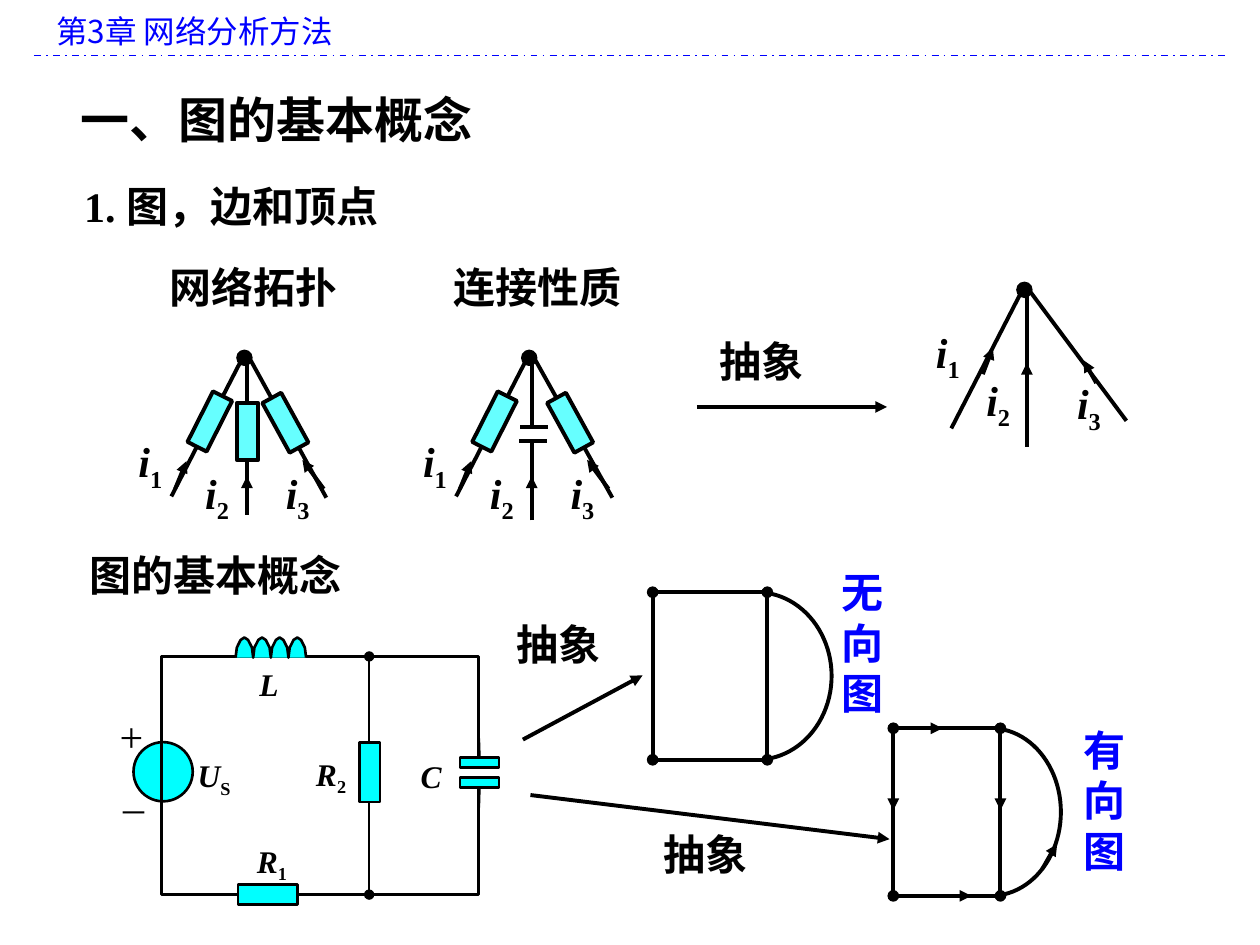
import pptx
import pptx.util
import pptx.dml.color
import pptx.enum.dml
import pptx.enum.lang
import pptx.enum.shapes
import pptx.enum.text
import pptx.oxml.ns
import lxml.etree

Inches, Pt = pptx.util.Inches, pptx.util.Pt
RGBColor = pptx.dml.color.RGBColor
SHAPE = pptx.enum.shapes.MSO_SHAPE
ANCHOR = pptx.enum.text.MSO_ANCHOR
qn = pptx.oxml.ns.qn

BLACK = RGBColor(0x00, 0x00, 0x00)
WHITE = RGBColor(0xFF, 0xFF, 0xFF)
BLUE = RGBColor(0x00, 0x00, 0xFF)
CYAN = RGBColor(0x00, 0xFF, 0xFF)
PALE_CYAN = RGBColor(0x66, 0xFF, 0xFF)
SERIF, SANS = "Times New Roman", "Noto Sans CJK SC"


def add_line(parent, start, end, width=2.25, head=None, tail=None, color=BLACK):
    line = parent.shapes.add_connector(
        pptx.enum.shapes.MSO_CONNECTOR.STRAIGHT,
        *[Inches(v) for v in (*start, *end)])
    line.line.color.rgb = color
    line.line.width = Pt(width)
    for tag, kind in (("a:headEnd", head), ("a:tailEnd", tail)):
        if kind:
            lxml.etree.SubElement(line.line._get_or_add_ln(), qn(tag), type=kind)
    lxml.etree.SubElement(line._element.spPr, qn("a:effectLst"))
    return line


def add_part(parent, kind, box, fill, width=2.25, rotation=0):
    part = parent.shapes.add_shape(kind, *[Inches(v) for v in box])
    part.shadow.inherit = False
    part.rotation = rotation
    if fill is None:
        part.fill.background()
    else:
        part.fill.solid()
        part.fill.fore_color.rgb = fill
    if width:
        part.line.color.rgb = BLACK
        part.line.width = Pt(width)
    else:
        part.line.fill.background()
    return part


prs = pptx.Presentation()
prs.slide_width, prs.slide_height = Inches(10), Inches(7.5)
slide = prs.slides.add_slide(prs.slide_layouts[5])

# Chapter rule
chapter_rule = add_line(slide, (0.27, 0.44), (9.72, 0.44), 1, color=BLUE)
chapter_rule.line.dash_style = pptx.enum.dml.MSO_LINE.DASH_DOT

# Three-branch nodes: every point is relative to the node
near_arrows = [((-0.55, 1.04), (-0.46, 0.82)), ((0.02, 1.18), (0.02, 0.94)),
               ((0.63, 1.04), (0.46, 0.81))]
far_arrows = [((-0.33, 0.67), (-0.25, 0.46)), ((0.02, 0.82), (0.02, 0.58)),
              ((0.57, 0.74), (0.47, 0.56))]
near_labels = [(-0.94, 0.57), (-0.41, 0.82), (0.23, 0.82)]
far_labels = [(-0.8, 0.24), (-0.4, 0.62), (0.32, 0.65)]
side_resistors = [(-0.36, 0.28, 26.8), (0.24, 0.29, 331.2)]
whole_branch = [((0.02, 0.02), (0.02, 1.25))]
capacitor_branch = [((0.02, 0.02), (0.02, 0.53)), ((-0.07, 0.55), (0.15, 0.55)),
                    ((-0.08, 0.66), (0.14, 0.66)), ((0.02, 1.29), (0.02, 0.66))]
nodes = [
    (1.94, 2.84, whole_branch, (0.65, 1.11),
     side_resistors + [(-0.06, 0.36, 0)], near_arrows, near_labels),
    (4.2, 2.84, capacitor_branch, (0.66, 1.11),
     side_resistors, near_arrows, near_labels),
    (8.13, 2.3, whole_branch, (0.81, 1.04), [], far_arrows, far_labels),
]
symbols = []
for x, y, middle, right_end, resistors, arrows, labels in nodes:
    node = slide.shapes.add_group_shape()
    sides = [((-0.02, 0.01), (-0.58, 1.1)), ((0.05, 0.02), right_end)]
    for (x1, y1), (x2, y2) in middle + sides:
        add_line(node, (x + x1, y + y1), (x + x2, y + y2))
    for dx, dy, angle in resistors:
        add_part(node, SHAPE.RECTANGLE, (x + dx, y + dy, 0.17, 0.45),
                 PALE_CYAN, rotation=angle)
    add_part(node, SHAPE.OVAL, (x - 0.06, y - 0.06, 0.12, 0.12), BLACK, 0.75)
    for (x1, y1), (x2, y2) in arrows:
        add_line(node, (x + x1, y + y1), (x + x2, y + y2), tail="triangle")
    for number, (dx, dy) in enumerate(labels, 1):
        symbols.append((node, (x + dx, y + dy, 0.4, 0.5), "i", str(number), 24))

# Abstraction arrows
for start, end in [((5.53, 3.23), (7.04, 3.23)), ((4.15, 5.87), (5.1, 5.36)),
                   ((4.21, 6.31), (7.06, 6.66))]:
    add_line(slide, start, end, tail="triangle")

# Undirected and directed graphs
graphs = []
for left, top, width, arc_left, arc_width in [(5.18, 4.7, 0.91, 5.41, 1.19),
                                              (7.09, 5.78, 0.85, 7.31, 1.11)]:
    graph = slide.shapes.add_group_shape()
    add_part(graph, SHAPE.OVAL, (arc_left, top, arc_width, 1.33), WHITE)
    add_part(graph, SHAPE.RECTANGLE, (left, top, width, 1.33), WHITE)
    for y in (top, top + 1.33):
        add_line(graph, (left, y), (left + width, y), head="oval", tail="oval")
    graphs.append(graph)
directed = graphs[1]
for start, end in [((7.09, 6.04), (7.09, 6.43)), ((7.94, 6.04), (7.94, 6.43)),
                   ((7.48, 7.11), (7.71, 7.11)), ((7.31, 5.78), (7.48, 5.78))]:
    add_line(directed, start, end, tail="triangle")

# Circuit
circuit = slide.shapes.add_group_shape()
add_part(circuit, SHAPE.OVAL, (1.06, 5.89, 0.47, 0.47), CYAN, 1.5)
add_part(circuit, SHAPE.RECTANGLE, (1.28, 5.21, 2.52, 1.89), None, 1.5)
add_line(circuit, (2.93, 5.21), (2.93, 7.1), 1.5, "oval", "oval")
for x, y, angle in [(1.89, 7.02, 0), (2.7, 6.05, 90)]:
    add_part(circuit, SHAPE.RECTANGLE, (x, y, 0.47, 0.16), CYAN, 1.5, angle)
add_part(circuit, SHAPE.RECTANGLE, (3.64, 6.04, 0.32, 0.16), WHITE, 0)
for plate_y, wire_y, site in [(6.01, 5.86, 0), (6.17, 6.41, 2)]:
    plate = add_part(circuit, SHAPE.RECTANGLE, (3.65, plate_y, 0.31, 0.08), CYAN, 1.5)
    wire = add_line(circuit, (3.8, wire_y), (3.8, plate_y), 1.5)
    wire.end_connect(plate, site)

# Inductor coil and the arrow on the directed arc, in hundredths of an inch
turn = [(1, 514), (4, 508), (7, 506), (10, 508), (13, 514), (14, 522)]
coil_points = [(187 + 14 * i + dx, y) for i in range(4) for dx, y in turn]
arc_points = [(835, 676), (839, 670)]
for parent, start, points, width in [(circuit, (187, 522), coil_points, 1.5),
                                     (directed, (827, 690), arc_points, 2.25)]:
    builder = parent.shapes.build_freeform(*start, scale=Inches(0.01))
    builder.add_line_segments(points, close=False)
    curve = builder.convert_to_shape()
    curve.shadow.inherit = False
    curve.line.color.rgb = BLACK
    curve.line.width = Pt(width)
    if parent is circuit:
        curve.fill.solid()
        curve.fill.fore_color.rgb = CYAN
    else:
        curve.fill.background()
        lxml.etree.SubElement(curve.line._get_or_add_ln(), qn("a:tailEnd"), type="triangle")

# Symbols: bold italic letter with an upright subscript
symbols += [
    (circuit, (1.94, 6.63, 0.67, 0.4), "R", "1", 18),
    (circuit, (2.41, 5.94, 0.67, 0.4), "R", "2", 18),
    (circuit, (1.47, 5.95, 0.71, 0.4), "U", "S", 18),
    (circuit, (1.96, 5.23, 0.47, 0.4), "L", "", 18),
    (circuit, (3.24, 5.96, 0.47, 0.4), "C", "", 18),
]
for parent, box, letter, subscript, size in symbols:
    symbol = parent.shapes.add_textbox(*[Inches(v) for v in box])
    symbol.text_frame.word_wrap = size == 18
    paragraph = symbol.text_frame.paragraphs[0]
    paragraph.text = letter
    paragraph.runs[0].font.italic = True
    if subscript:
        lower = paragraph.add_run()
        lower.text = subscript
        lower.font.italic = False
        lower.font._element.set("baseline", "-25000")
    for run in paragraph.runs:
        run.font.name, run.font.size, run.font.bold = SERIF, Pt(size), True
        run.font.color.rgb = BLACK

# Headings and captions
captions = [
    (slide, (0.35, 0.05, 9.37, 0.4), "第3章 网络分析方法", 18, SANS, BLUE, False),
    (slide, (0.54, 0.66, 9.01, 0.57), "一、图的基本概念", 28, SERIF, BLACK, True),
    (slide, (0.57, 1.38, 8.63, 0.5), "1. 图，边和顶点", 24, SERIF, BLACK, True),
    (slide, (1.25, 2.03, 2.17, 0.5), "网络拓扑", 24, SERIF, BLACK, True),
    (slide, (3.5, 2.03, 2.65, 0.5), "连接性质", 24, SERIF, BLACK, True),
    (slide, (0.61, 4.31, 4.42, 0.5), "图的基本概念", 24, SERIF, BLACK, True),
    (slide, (5.61, 2.61, 0.87, 0.5), "抽象", 24, SERIF, BLACK, True),
    (slide, (4, 4.86, 1.08, 0.5), "抽象", 24, SERIF, BLACK, True),
    (slide, (5.17, 6.53, 1.08, 0.5), "抽象", 24, SERIF, BLACK, True),
    (slide, (6.58, 4.45, 0.54, 1.3), "无\n向\n图", 24, SERIF, BLUE, True),
    (slide, (8.5, 5.7, 0.54, 1.3), "有\n向\n图", 24, SERIF, BLUE, True),
    (circuit, (0.85, 5.59, 0.39, 0.5), "+", 24, SERIF, BLACK, False),
    (circuit, (0.88, 6.03, 0.37, 0.5), "_", 24, SERIF, BLACK, False),
]
for parent, box, words, size, font, color, bold in captions:
    left, top, width, height = [Inches(v) for v in box]
    if size == 28:
        caption = slide.shapes.title
        caption.left, caption.top, caption.width, caption.height = left, top, width, height
    else:
        caption = parent.shapes.add_textbox(left, top, width, height)
    frame = caption.text_frame
    frame.text = words
    frame.word_wrap = width > Inches(0.9)
    frame.vertical_anchor = ANCHOR.MIDDLE if parent is circuit else ANCHOR.TOP
    frame.auto_size = pptx.enum.text.MSO_AUTO_SIZE.SHAPE_TO_FIT_TEXT
    for paragraph in frame.paragraphs:
        paragraph.alignment = pptx.enum.text.PP_ALIGN.LEFT
        run_font = paragraph.runs[0].font
        run_font.name, run_font.size, run_font.bold = font, Pt(size), bold
        run_font.color.rgb = color
        run_font.language_id = pptx.enum.lang.MSO_LANGUAGE_ID.SIMPLIFIED_CHINESE
        lxml.etree.SubElement(run_font._element, qn("a:ea"), typeface=SANS)

prs.save("out.pptx")
